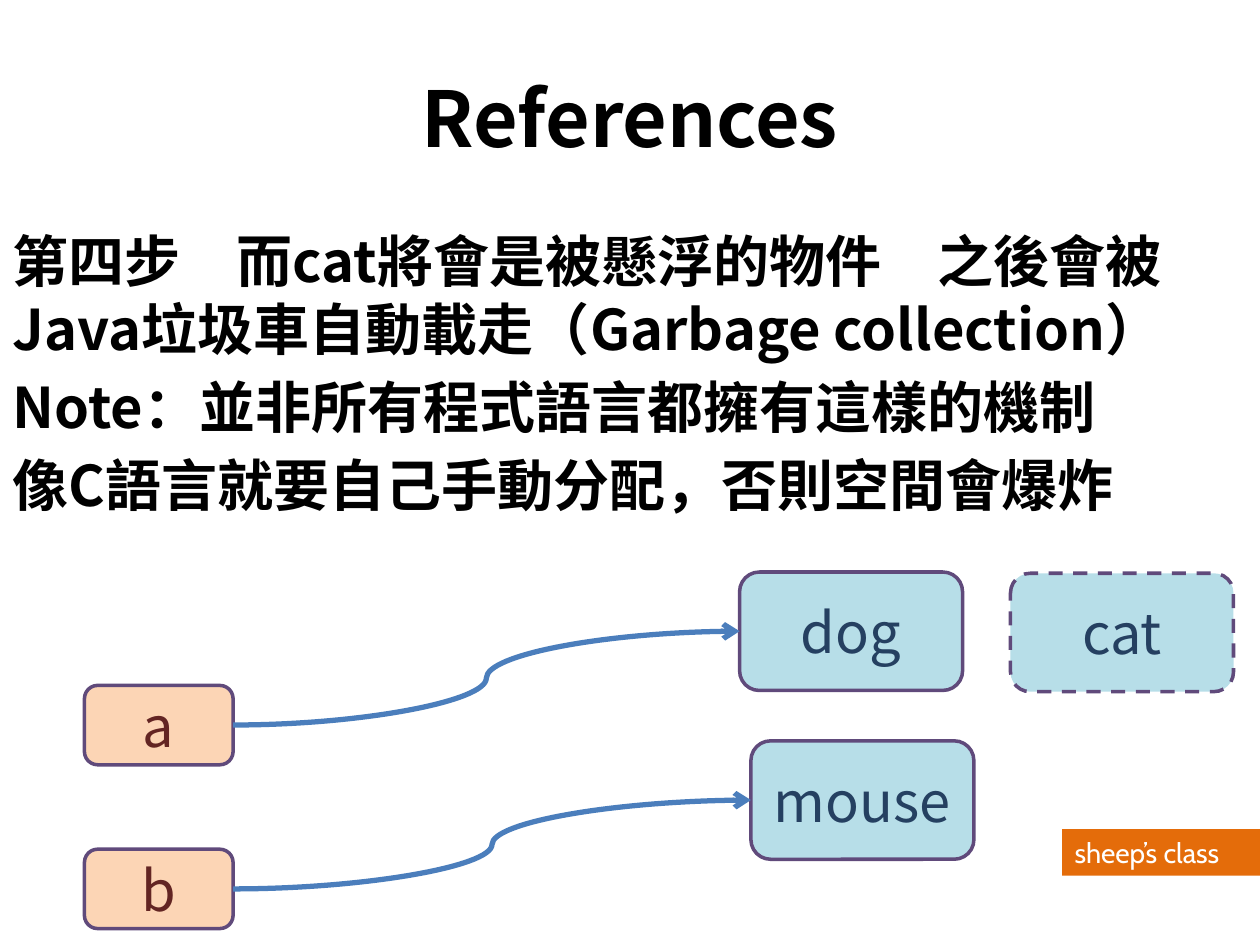
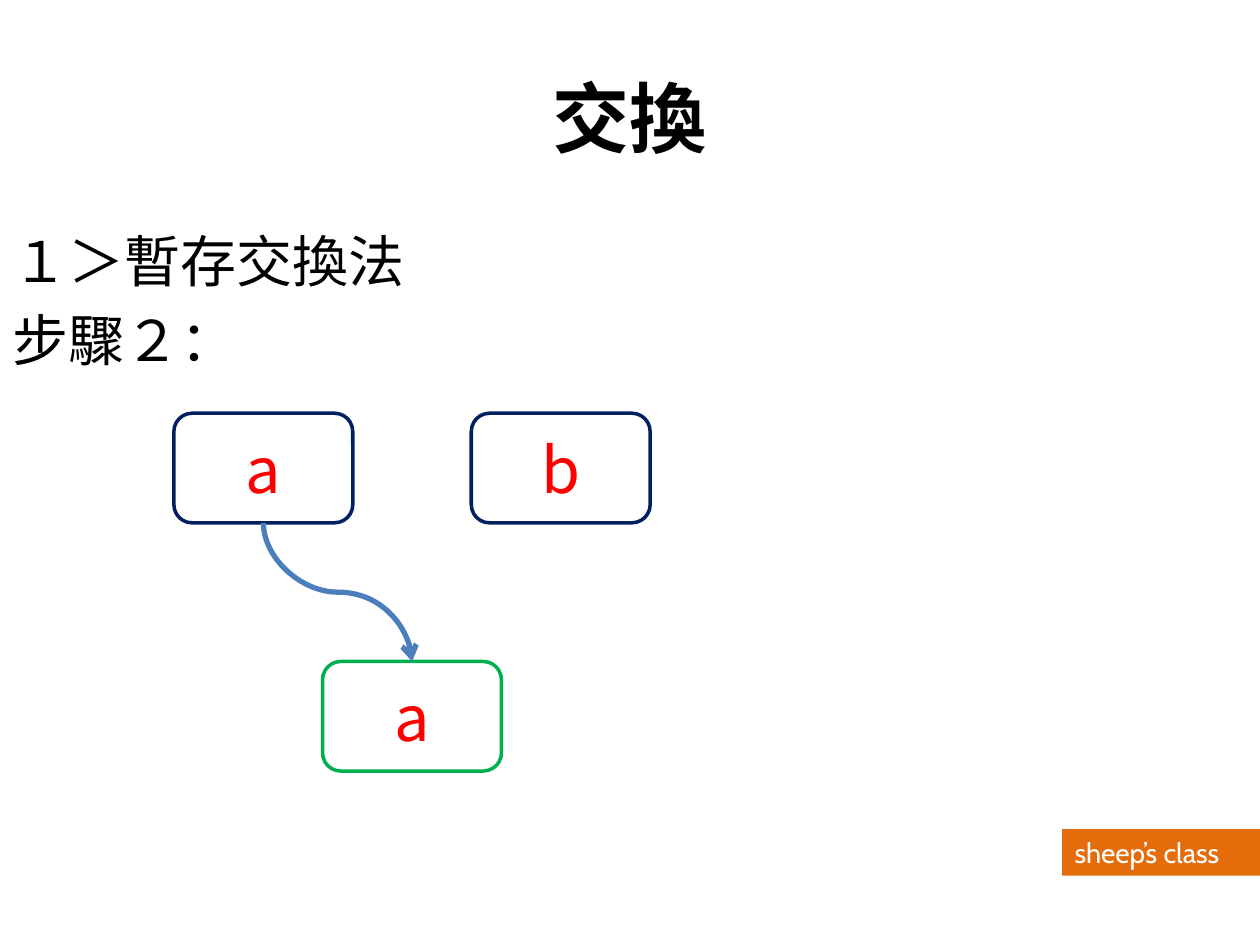
from dataclasses import dataclass

from lxml import etree
from pptx import Presentation
from pptx.dml.color import RGBColor
from pptx.enum.dml import MSO_LINE
from pptx.enum.shapes import MSO_CONNECTOR, MSO_SHAPE
from pptx.enum.text import MSO_ANCHOR, MSO_AUTO_SIZE, PP_ALIGN
from pptx.oxml.ns import qn
from pptx.util import Inches, Pt

ROUNDED, RECTANGLE = MSO_SHAPE.ROUNDED_RECTANGLE, MSO_SHAPE.RECTANGLE
CURVE = MSO_CONNECTOR.CURVE
DASH = MSO_LINE.DASH
LEFT, CENTER = PP_ALIGN.LEFT, PP_ALIGN.CENTER
TOP, MIDDLE = MSO_ANCHOR.TOP, MSO_ANCHOR.MIDDLE
NO_AUTOFIT = MSO_AUTO_SIZE.NONE
TOP_SITE, LEFT_SITE, BOTTOM_SITE, RIGHT_SITE = range(4)


@dataclass(frozen=True)
class Theme:
    font: str = "Noto Sans CJK SC"
    footer_font: str = "Cabin"
    title_size: int = 44
    body_size: int = 32
    cell_size: int = 36
    footer_size: int = 16
    text: str = "000000"
    footer_text: str = "FFFFFF"
    footer_band: str = "E46C0A"
    arrow: str = "4B7EBC"
    outline: str = "604A7B"
    reference_fill: str = "FCD5B5"
    reference_text: str = "632523"
    object_fill: str = "B7DEE8"
    object_text: str = "254061"
    cell_text: str = "FF0000"
    variable_outline: str = "002060"
    temporary_outline: str = "00B050"


THEME = Theme()


def rgb(value):
    return RGBColor.from_string(value)


def place(shape, left, top, width, height):
    shape.left, shape.top = Inches(left), Inches(top)
    shape.width, shape.height = Inches(width), Inches(height)


def write_text(frame, text, *, size=THEME.body_size, color=THEME.text, font=THEME.font,
               bold=False, align=LEFT, anchor=TOP, wrap=True):
    """Fill a frame with one unbulleted paragraph per line of text."""
    frame.auto_size = NO_AUTOFIT
    frame.word_wrap = wrap
    frame.vertical_anchor = anchor
    for index, line in enumerate(text.split("\n")):
        paragraph = frame.add_paragraph() if index else frame.paragraphs[0]
        properties = paragraph._p.get_or_add_pPr()
        properties.set("marL", "0")
        properties.set("indent", "0")
        etree.SubElement(properties, qn("a:buNone"))
        paragraph.alignment = align
        paragraph.space_before = Pt(0.2 * size if index else 0)
        run = paragraph.add_run()
        run.text = line
        run.font.name = font
        run.font.size = Pt(size)
        run.font.bold = bold
        run.font.color.rgb = rgb(color)
        east_asian = etree.SubElement(run._r.get_or_add_rPr(), qn("a:ea"))
        east_asian.set("typeface", font)


def add_box(slide, text, bounds, *, kind=ROUNDED, fill=None, outline=None, dash=None,
            **text_format):
    box = slide.shapes.add_shape(kind, *(Inches(value) for value in bounds))
    box.shadow.inherit = False
    if fill:
        box.fill.solid()
        box.fill.fore_color.rgb = rgb(fill)
    else:
        box.fill.background()
    if outline:
        box.line.color.rgb = rgb(outline)
        box.line.width = Pt(2)
        if dash:
            box.line.dash_style = dash
    else:
        box.line.fill.background()
    write_text(box.text_frame, text, anchor=MIDDLE, **text_format)
    return box


def add_reference(slide, name, top):
    return add_box(slide, name, (0.67, top, 1.18, 0.63), fill=THEME.reference_fill,
                   outline=THEME.outline, color=THEME.reference_text, align=CENTER)


def add_object(slide, name, left, top, dash=None):
    return add_box(slide, name, (left, top, 1.77, 0.94), fill=THEME.object_fill,
                   outline=THEME.outline, dash=dash, color=THEME.object_text, align=CENTER)


def add_cell(slide, name, left, top, outline=THEME.variable_outline):
    return add_box(slide, name, (left, top, 1.42, 0.87), outline=outline,
                   size=THEME.cell_size, color=THEME.cell_text, align=CENTER)


def turn_downward(connector):
    """Make a curve that runs down and right leave and arrive vertically."""
    width, height = connector.width, connector.height
    connector.left += (width - height) // 2
    connector.top += (height - width) // 2
    connector.width, connector.height = height, width
    transform = connector._element.spPr.find(qn("a:xfrm"))
    transform.set("rot", "16200000")
    transform.set("flipH", "1")


def add_arrow(slide, source, target, start_site=RIGHT_SITE, end_site=LEFT_SITE):
    arrow = slide.shapes.add_connector(CURVE, 0, 0, 0, 0)
    arrow.begin_connect(source, start_site)
    arrow.end_connect(target, end_site)
    if start_site == BOTTOM_SITE:
        turn_downward(arrow)
    arrow.line.color.rgb = rgb(THEME.arrow)
    arrow.line.width = Pt(3)
    head = etree.SubElement(arrow.line._get_or_add_ln(), qn("a:tailEnd"))
    head.set("type", "arrow")
    etree.SubElement(arrow._element.spPr, qn("a:effectLst"))


def add_content_slide(deck, title, body, bold_body=False):
    slide = deck.slides.add_slide(deck.slide_layouts[1])
    add_box(slide, "sheep’s class", (8.43, 6.58, 1.57, 0.37), kind=RECTANGLE,
            fill=THEME.footer_band, size=THEME.footer_size, color=THEME.footer_text,
            font=THEME.footer_font, wrap=False)
    heading, content = slide.placeholders
    place(heading, 0.5, 0.3, 9, 1.25)
    write_text(heading.text_frame, title, size=THEME.title_size, bold=True,
               align=CENTER, anchor=MIDDLE)
    place(content, 0, 1.75, 10, 5.75)
    write_text(content.text_frame, body, bold=bold_body)
    return slide


def build_references(deck):
    slide = add_content_slide(
        deck, "References",
        "第四步　而cat將會是被懸浮的物件　之後會被Java垃圾車自動載走（Garbage collection）\n"
        "Note：並非所有程式語言都擁有這樣的機制\n"
        "像C語言就要自己手動分配，否則空間會爆炸",
        bold_body=True)
    reference_a = add_reference(slide, "a", 5.44)
    reference_b = add_reference(slide, "b", 6.74)
    add_object(slide, "cat", 8.02, 4.55, dash=DASH)
    dog = add_object(slide, "dog", 5.87, 4.54)
    mouse = add_object(slide, "mouse", 5.96, 5.88)
    add_arrow(slide, reference_a, dog)
    add_arrow(slide, reference_b, mouse)


def build_swap(deck):
    slide = add_content_slide(deck, "交換", "１＞暫存交換法\n步驟２：")
    left, step, top = 1.38, 1.18, 3.28
    variable_a = add_cell(slide, "a", left, top)
    add_cell(slide, "b", left + 2 * step, top)
    temporary = add_cell(slide, "a", left + step, 5.25, outline=THEME.temporary_outline)
    add_arrow(slide, variable_a, temporary, BOTTOM_SITE, TOP_SITE)


def main():
    deck = Presentation()
    deck.slide_width, deck.slide_height = Inches(10), Inches(7.5)
    build_references(deck)
    build_swap(deck)
    deck.save("out.pptx")


if __name__ == "__main__":
    main()
